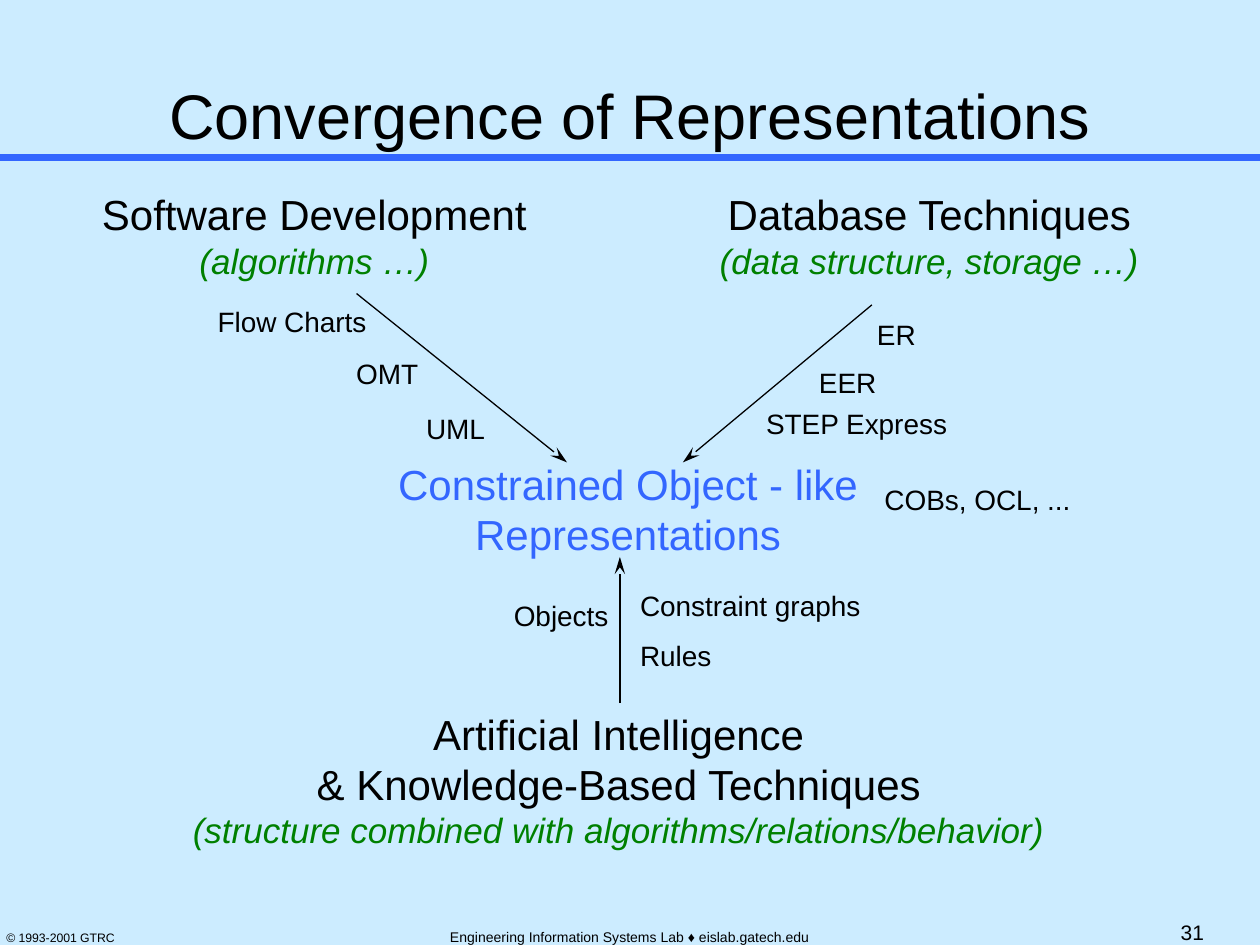
from pptx import Presentation
from pptx.dml.color import RGBColor
from pptx.enum.shapes import MSO_CONNECTOR
from pptx.enum.text import MSO_ANCHOR, MSO_AUTO_SIZE, PP_ALIGN
from pptx.oxml.ns import qn
from pptx.util import Emu, Pt
from lxml.etree import SubElement

COLORS = {"sky": "CCECFF", "blue": "3366FF", "ink": "000000", "green": "008000"}
LEFT, MID, RIGHT = PP_ALIGN.LEFT, PP_ALIGN.CENTER, PP_ALIGN.RIGHT
WIDE, HIGH = 1000, 750
SLACK = 8
SHIFT = {LEFT: 0, MID: SLACK // 2, RIGHT: SLACK}


def px(num):
    return Emu(num * 9144)


def tint(name):
    return RGBColor.from_string(COLORS[name])


def write(slide, box, rows, align=LEFT, pad=(0, 0), wrap=False, anchor=MSO_ANCHOR.TOP):
    left, top, width, height = box
    if not wrap:
        left, width = left - SHIFT[align], width + SLACK
    frame = slide.shapes.add_textbox(*map(px, (left, top, width, height))).text_frame
    frame.word_wrap = wrap
    frame.auto_size = MSO_AUTO_SIZE.NONE if wrap else MSO_AUTO_SIZE.SHAPE_TO_FIT_TEXT
    frame.vertical_anchor = anchor
    frame.margin_left = frame.margin_right = px(pad[0])
    frame.margin_top = frame.margin_bottom = px(pad[1])
    for num, (text, size, color) in enumerate(rows):
        para = frame.add_paragraph() if num else frame.paragraphs[0]
        para.text = text
        para.alignment = align
        para.font.name = "Arial"
        para.font.size = Pt(size)
        para.font.italic = color == "green"
        para.font.color.rgb = tint(color)


def draw(slide, start, end, color, width, arrow=False):
    line = slide.shapes.add_connector(MSO_CONNECTOR.STRAIGHT, *map(px, start + end))
    line.line.color.rgb = tint(color)
    line.line.width = Pt(width)
    props = line.element.spPr
    if arrow:
        SubElement(props.find(qn("a:ln")), qn("a:tailEnd"), type="stealth", len="lg")
    SubElement(props, qn("a:effectLst"))


def header(slide, box, title):
    left, top, width, height = box
    draw(slide, (left, top + height), (left + width, top + height), "blue", 4)
    write(slide, (left, top, width, height - 4), [(title, 36, "ink")],
          MID, (5, 0), True, MSO_ANCHOR.BOTTOM)


def footer(slide, box):
    left, top, width, height = box
    parts = [
        (0, 8, 96, "© 1993-2001 GTRC", 7, LEFT),
        (352, 7, 296, "Engineering Information Systems Lab ♦ eislab.gatech.edu", 8, MID),
        (932, 0, 60, "31", 12, LEFT),
    ]
    for x, y, wide, text, size, align in parts:
        write(slide, (left + x, top + y, wide, height - y),
              [(text, size, "ink")], align, (5, 0))


def label(slide, box, tag):
    x, y, wide, text, align = tag
    write(slide, (box[0] + x, box[1] + y, wide, 27), [(text, 16, "ink")], align)


def branch(slide, box, place, heads, note, start, end, tags):
    left, top = box[:2]
    x, y, wide, high = place
    rows = [(head, 24, "ink") for head in heads] + [(note, 20, "green")]
    write(slide, (left + x, top + y, wide, high), rows, MID)
    draw(slide, (left + start[0], top + start[1]),
         (left + end[0], top + end[1]), "ink", 0.75, True)
    for tag in tags:
        label(slide, box, tag)


def core(slide, box):
    left, top, width, height = box
    rows = [(text, 24, "blue")
            for text in ("Constrained Object - like", "Representations")]
    write(slide, (left, top, 385, height), rows, MID, (10, 5))
    label(slide, box, (396, 24, 148, "COBs, OCL, ...", LEFT))


def main():
    deck = Presentation()
    deck.slide_width, deck.slide_height = px(WIDE), px(HIGH)
    slide = deck.slides.add_slide(deck.slide_layouts[6])
    slide.background.fill.solid()
    slide.background.fill.fore_color.rgb = tint("sky")

    header(slide, (0, 0, WIDE, 125), "Convergence of Representations")
    footer(slide, (0, 730, WIDE, 20))
    branch(slide, (81, 150, 369, 217), (0, 0, 337, 73),
           ["Software Development"], "(algorithms …)", (202, 83), (369, 217),
           [(92, 92, 118, "Flow Charts", RIGHT),
            (202, 133, 49, "OMT", RIGHT),
            (257, 177, 47, "UML", RIGHT)])
    branch(slide, (542, 150, 362, 217), (29, 0, 333, 73),
           ["Database Techniques"], "(data structure, storage …)", (150, 92), (0, 217),
           [(154, 102, 31, "ER", LEFT),
            (108, 140, 46, "EER", LEFT),
            (66, 173, 144, "STEP Express", LEFT)])
    branch(slide, (153, 442, 676, 233), (0, 120, 676, 113),
           ["Artificial Intelligence", "& Knowledge-Based Techniques"],
           "(structure combined with algorithms/relations/behavior)", (339, 116), (339, 0),
           [(255, 33, 75, "Objects", RIGHT),
            (355, 25, 175, "Constraint graphs", LEFT),
            (355, 65, 57, "Rules", LEFT)])
    core(slide, (306, 359, 544, 90))
    deck.save("out.pptx")


if __name__ == "__main__":
    main()
